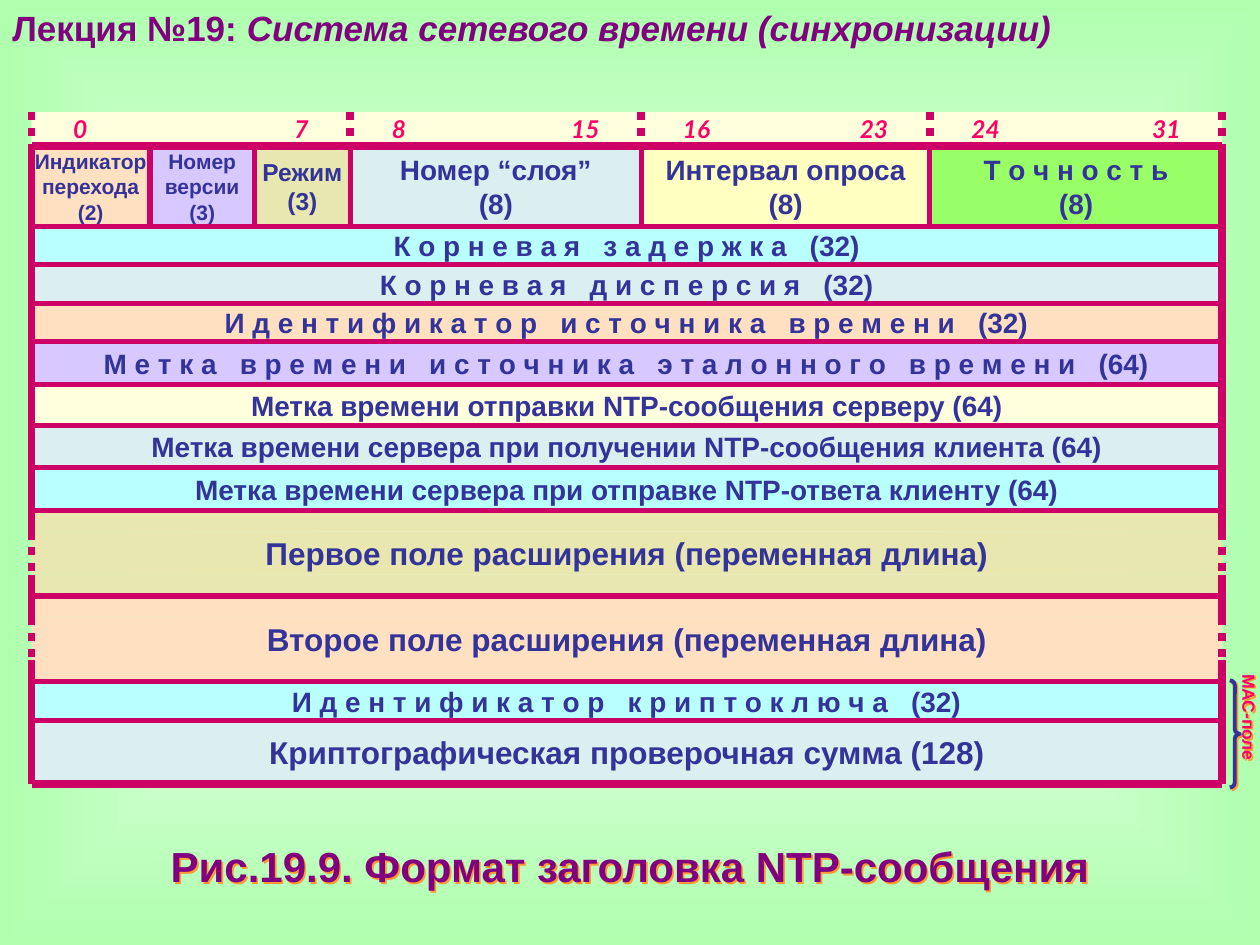
from lxml import etree
from pptx import Presentation
from pptx.dml.color import RGBColor
from pptx.enum.dml import MSO_LINE
from pptx.enum.shapes import MSO_CONNECTOR, MSO_SHAPE
from pptx.enum.text import MSO_ANCHOR, PP_ALIGN
from pptx.oxml.ns import qn
from pptx.util import Inches, Pt

LEFT, CENTER = PP_ALIGN.LEFT, PP_ALIGN.CENTER
TOP, MIDDLE = MSO_ANCHOR.TOP, MSO_ANCHOR.MIDDLE
RECT, BRACE = MSO_SHAPE.RECTANGLE, MSO_SHAPE.RIGHT_BRACE
STRAIGHT, DOTTED = MSO_CONNECTOR.STRAIGHT, MSO_LINE.ROUND_DOT

PURPLE = RGBColor(0x80, 0x00, 0x80)
NAVY = RGBColor(0x33, 0x33, 0x99)
PINK = RGBColor(0xFF, 0x00, 0x66)
CRIMSON = RGBColor(0xCC, 0x00, 0x66)
ORANGE = RGBColor(0xFF, 0x99, 0x33)
WHITE = RGBColor(0xFF, 0xFF, 0xFF)
MINT = RGBColor(0xAF, 0xFF, 0xAF)
ICE = RGBColor(0xDC, 0xEF, 0xF0)
AQUA = RGBColor(0xB9, 0xFF, 0xFF)
PEACH = RGBColor(0xFF, 0xE0, 0xC1)
KHAKI = RGBColor(0xE7, 0xE7, 0xAF)
LILAC = RGBColor(0xD7, 0xC9, 0xFF)
CREAM = RGBColor(0xFF, 0xFF, 0xDD)
YELLOW = RGBColor(0xFF, 0xFF, 0xC1)
GREEN = RGBColor(0x99, 0xFF, 0x66)

# Edges of the header diagram
X0, X1 = 0.25, 9.7
SCALE_TOP, FIELDS_TOP, ROWS_TOP = 0.89, 1.16, 1.8
THICK, THIN = 4.5, 3
PAD, BIT_INSET = 0.02, 0.33


def spaced(words, bits):
    """Letter-spaced field name followed by its length."""
    return " ".join([*words, " ", bits])


def write(frame, text, size=16, color=NAVY, font="Arial", align=CENTER, anchor=MIDDLE,
          insets=(PAD, PAD, PAD, PAD), italics=(False,), spacing=None, tab=None):
    """Fill a text frame; lines split at newlines, runs within a line at '|'."""
    frame.word_wrap = True
    frame.vertical_anchor = anchor
    (frame.margin_left, frame.margin_top,
     frame.margin_right, frame.margin_bottom) = map(Inches, insets)
    for number, line in enumerate(text.split("\n")):
        paragraph = frame.paragraphs[0] if number == 0 else frame.add_paragraph()
        paragraph.alignment = align
        if spacing:
            paragraph.line_spacing = spacing
        if tab:
            tabs = etree.SubElement(paragraph._p.get_or_add_pPr(), qn("a:tabLst"))
            etree.SubElement(tabs, qn("a:tab"), pos=str(Inches(tab)), algn="r")
        for part, italic in zip(line.split("|"), italics):
            run = paragraph.add_run()
            run.text = part
            run.font.name, run.font.size = font, Pt(size)
            run.font.bold, run.font.italic = True, italic
            run.font.color.rgb = color


class HeaderSlide:
    def __init__(self, slide):
        self.slide = slide

    def background(self, inner, outer):
        fill = self.slide.background.fill
        fill.gradient()
        for stop, color in zip(fill.gradient_stops, (inner, outer)):
            stop.color.rgb = color
        gradient = self.slide.element.find(".//" + qn("a:gradFill"))
        gradient.remove(gradient.find(qn("a:lin")))
        shade = etree.SubElement(gradient, qn("a:path"), path="shape")
        etree.SubElement(shade, qn("a:fillToRect"),
                         dict.fromkeys("ltrb", "50000"))

    def shadow(self, shape):
        shape.shadow.inherit = False
        effects = shape.element.spPr.find(qn("a:effectLst"))
        outer = etree.SubElement(effects, qn("a:outerShdw"), dist=str(Pt(1.4)),
                                 dir="2700000", algn="ctr", rotWithShape="0")
        etree.SubElement(outer, qn("a:srgbClr"), val=str(ORANGE))

    def label(self, x, y, w, h, text, shadow=False, vertical=False, **style):
        box = self.slide.shapes.add_textbox(*map(Inches, (x, y, w, h)))
        write(box.text_frame, text, **style)
        if vertical:
            box.element.txBody.find(qn("a:bodyPr")).set("vert", "eaVert")
        if shadow:
            self.shadow(box)

    def cell(self, x, y, w, h, fill, text="", **style):
        rect = self.slide.shapes.add_shape(RECT, *map(Inches, (x, y, w, h)))
        rect.shadow.inherit = False
        rect.fill.solid()
        rect.fill.fore_color.rgb = fill
        rect.line.fill.background()
        if text:
            write(rect.text_frame, text, **style)

    def brace(self, x, y, w, h):
        brace = self.slide.shapes.add_shape(BRACE, *map(Inches, (x, y, w, h)))
        brace.adjustments[0] = 0.476
        brace.fill.background()
        brace.line.color.rgb, brace.line.width = NAVY, Pt(2.25)
        self.shadow(brace)

    def line(self, x1, y1, x2, y2, width=THIN, dash=None):
        line = self.slide.shapes.add_connector(STRAIGHT, *map(Inches, (x1, y1, x2, y2)))
        line.line.color.rgb, line.line.width = CRIMSON, Pt(width)
        if dash:
            line.line.dash_style = dash
        etree.SubElement(line.element.spPr, qn("a:effectLst"))


def main():
    deck = Presentation()
    deck.slide_width, deck.slide_height = Inches(10), Inches(7.5)
    page = HeaderSlide(deck.slides.add_slide(deck.slide_layouts[6]))
    page.background(WHITE, MINT)

    # Lecture title
    page.label(0, 0, 10, 0.43, "Лекция №19: |Система сетевого времени (синхронизации)",
               size=20, color=PURPLE, align=LEFT, anchor=TOP,
               insets=(0.1, 0.05, 0.1, 0.05), italics=(False, True))

    # MAC field bracket
    page.brace(9.76, 5.4, 0.08, 0.85)
    page.label(9.83, 5.35, 0.17, 0.93, "МАС-поле", size=10, color=PINK, anchor=TOP,
               insets=(0, 0, 0, 0), vertical=True, shadow=True)

    # Full-width fields: text, fill, size, bottom edge, variable length
    rows = [
        (spaced("Корневая задержка", "(32)"), AQUA, 16, 2.1, False),
        (spaced("Корневая дисперсия", "(32)"), ICE, 16, 2.41, False),
        (spaced("Идентификатор источника времени", "(32)"), PEACH, 16, 2.71, False),
        (spaced("Метка времени источника эталонного времени", "(64)"), LILAC, 16, 3.05, False),
        ("Метка времени отправки NTP-сообщения серверу (64)", CREAM, 16, 3.38, False),
        ("Метка времени сервера при получении NTP-сообщения клиента (64)", ICE, 16, 3.71, False),
        ("Метка времени сервера при отправке NTP-ответа клиенту (64)", AQUA, 16, 4.05, False),
        ("Первое поле расширения (переменная длина)", KHAKI, 18, 4.73, True),
        ("Второе поле расширения (переменная длина)", PEACH, 18, 5.41, True),
        (spaced("Идентификатор криптоключа", "(32)"), AQUA, 16, 5.72, False),
        ("Криптографическая проверочная сумма (128)", ICE, 18, 6.22, False),
    ]
    row_edges, breaks = [ROWS_TOP], []
    for text, fill, size, bottom, variable in rows:
        top = row_edges[-1]
        height = bottom - top
        if variable:
            quarter = height / 4
            page.cell(X0, top, X1 - X0, quarter, fill)
            page.cell(X0, bottom - quarter, X1 - X0, quarter, fill)
            top, height = top + quarter, height / 2
            breaks.append((top, top + height))
        page.cell(X0, top, X1 - X0, height, fill, text, size=size)
        row_edges.append(bottom)
    bottom_edge = row_edges.pop()

    # First-word fields: text, fill, size, right edge
    fields = [
        ("Индикатор перехода\n(2)", PEACH, 12, 1.19),
        ("Номер версии\n(3)", LILAC, 12, 2.02),
        ("Режим\n(3)", KHAKI, 14, 2.78),
        ("Номер “слоя”\n(8)", ICE, 16, 5.09),
        (spaced("Интервал опроса", "")[:0] + "Интервал опроса\n(8)", YELLOW, 16, 7.38),
        (" ".join("Точность") + "\n(8)", GREEN, 16, X1),
    ]
    left = X0
    for text, fill, size, right in fields:
        page.cell(left, FIELDS_TOP, right - left, ROWS_TOP - FIELDS_TOP, fill, text, size=size)
        left = right

    # Bit scale, one cell per octet
    octet_edges = [X0, 2.78, 5.09, 7.38, X1]
    for octet, (left, right) in enumerate(zip(octet_edges, octet_edges[1:])):
        width = right - left
        page.cell(left, SCALE_TOP, width, FIELDS_TOP - SCALE_TOP, CREAM,
                  f"{octet * 8}\t{octet * 8 + 7}", size=14, color=PINK, font="Lato",
                  align=LEFT, insets=(BIT_INSET, PAD, PAD, PAD), italics=(True,),
                  tab=width - 2 * BIT_INSET)

    # Inner rules
    for y in row_edges:
        page.line(X0, y, X1, y)
    for *_, x in fields[:-1]:
        page.line(x, FIELDS_TOP, x, ROWS_TOP)

    # Outer frame, dotted along the scale and the variable-length fields
    for x in octet_edges:
        page.line(x, SCALE_TOP, x, FIELDS_TOP, THICK, DOTTED)
    for y in (FIELDS_TOP, bottom_edge):
        page.line(X0, y, X1, y, THICK)
    for x in (X0, X1):
        start = FIELDS_TOP
        for top, bottom in breaks:
            page.line(x, start, x, top, THICK)
            page.line(x, top, x, bottom, THICK, DOTTED)
            start = bottom
        page.line(x, start, x, bottom_edge, THICK)

    # Figure caption
    page.label(0, 6.72, 10, 0.36, "Рис.19.9. Формат заголовка NTP-сообщения", size=24,
               color=PURPLE, insets=(0, 0, 0, 0), spacing=0.9, shadow=True)

    deck.save("out.pptx")


if __name__ == "__main__":
    main()
